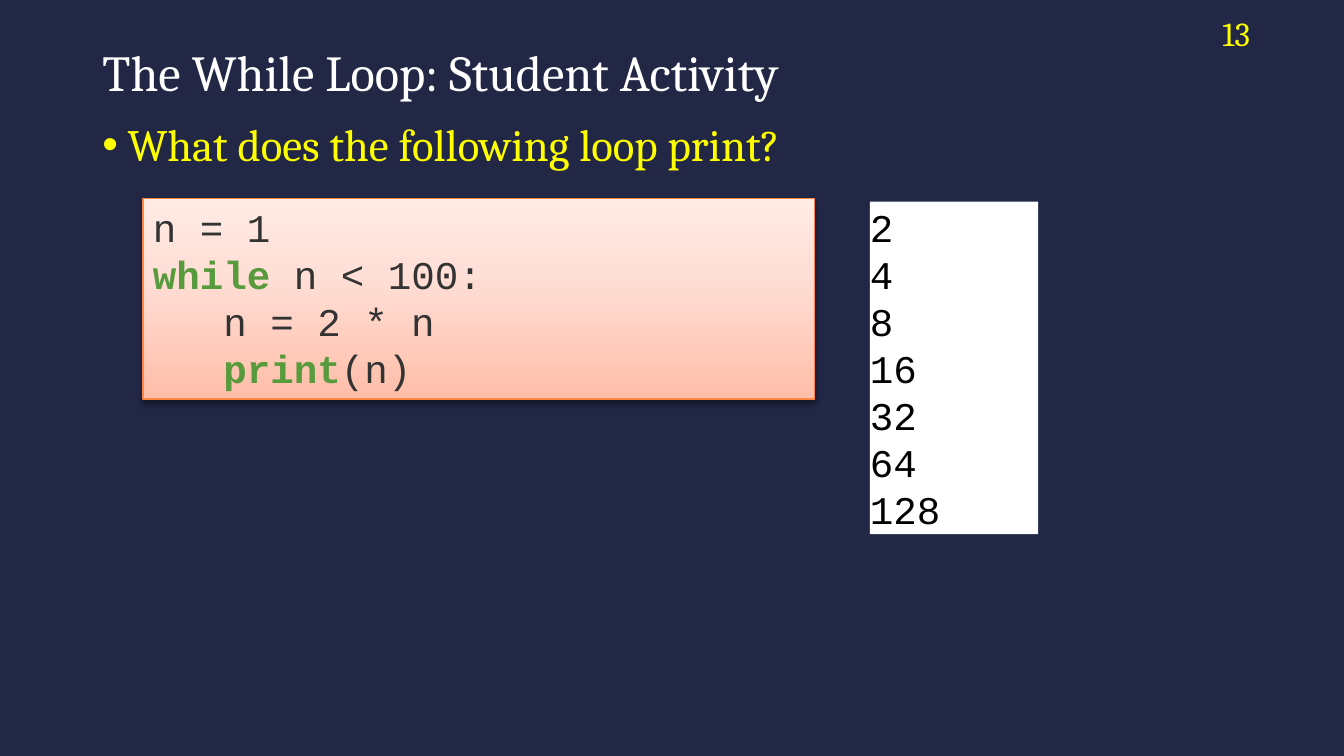
import copy

import pptx
import pptx.dml.color
import pptx.enum.shapes
import pptx.enum.text
import pptx.oxml
import pptx.oxml.ns
import pptx.util

Pt = pptx.util.Pt
ALIGN = pptx.enum.text.PP_ALIGN
ANCHOR = pptx.enum.text.MSO_ANCHOR
RECT = pptx.enum.shapes.MSO_SHAPE.RECTANGLE
NS = pptx.oxml.ns.nsdecls("a")


def rgb(color):
    return pptx.dml.color.RGBColor.from_string(color)


def write(tf, lines, font="Cambria", size=28, color="FFFFFF", align=ALIGN.LEFT,
          anchor=ANCHOR.TOP, spacing=1.0, before=0, inset=(7.2, 3.6)):
    """Each line is a list of (text, keyword colour or None) runs."""
    tf.word_wrap = True
    tf.auto_size = pptx.enum.text.MSO_AUTO_SIZE.NONE
    tf.vertical_anchor = anchor
    tf.margin_left = tf.margin_right = Pt(inset[0])
    tf.margin_top = tf.margin_bottom = Pt(inset[1])
    for i, runs in enumerate(lines):
        p = tf.add_paragraph() if i else tf.paragraphs[0]
        p.alignment, p.line_spacing, p.space_before = align, spacing, Pt(before)
        for text, keyword in runs:
            r = p.add_run()
            r.text = text
            r.font.name, r.font.size, r.font.bold = font, Pt(size), bool(keyword)
            r.font.color.rgb = rgb(keyword or color)


prs = pptx.Presentation()
prs.slide_width, prs.slide_height = Pt(960), Pt(540)
s = prs.slides.add_slide(prs.slide_layouts[5])
s.background.fill.solid()
s.background.fill.fore_color.rgb = rgb("212745")

# Title
title = s.shapes.title
title.left, title.top, title.width, title.height = Pt(66), Pt(29), Pt(834.5), Pt(49)
write(title.text_frame, [[("The While Loop: Student Activity", None)]],
      size=36, anchor=ANCHOR.MIDDLE, spacing=0.9)

# Question with bullet
question = s.shapes.add_textbox(Pt(66), Pt(84.2), Pt(834.5), Pt(401.8))
write(question.text_frame, [[("What does the following loop print?", None)]],
      size=32, color="FFFF00", spacing=0.9, before=10)
pPr = question.text_frame.paragraphs[0]._p.get_or_add_pPr()
pPr.set("marL", str(Pt(18)))
pPr.set("indent", str(-Pt(18)))
pPr.append(pptx.oxml.parse_xml(f'<a:buFont {NS} typeface="Arial"/>'))
pPr.append(pptx.oxml.parse_xml(f'<a:buChar {NS} char="•"/>'))

# Slide number
number = s.shapes.add_textbox(Pt(844.5), Pt(9.4), Pt(55.5), Pt(28.8))
write(number.text_frame, [[("13", None)]], size=24, color="FFFF00",
      align=ALIGN.RIGHT, anchor=ANCHOR.MIDDLE)

# Code panel with gradient and shadow
code = s.shapes.add_shape(RECT, Pt(102.2), Pt(141.8), Pt(479.5), Pt(143.3))
code.line.color.rgb = rgb("FF8643")
code.line.width = Pt(1)
code.fill.gradient()
code.fill.gradient_angle = 90
gsLst = code._element.spPr.find(".//" + pptx.oxml.ns.qn("a:gsLst"))
gsLst.append(copy.deepcopy(gsLst[0]))
stops = [(0, "FFBEA9"), (0.65, "FFE0D8"), (1, "FFEAE4")]
for stop, (position, color) in zip(code.fill.gradient_stops, stops):
    stop.position = position
    stop.color.rgb = rgb(color)
code._element.spPr.append(pptx.oxml.parse_xml(
    f'<a:effectLst {NS}><a:outerShdw blurRad="{Pt(4)}" dist="{Pt(3)}" '
    'dir="5400000" rotWithShape="0"><a:srgbClr val="000000">'
    '<a:alpha val="35000"/></a:srgbClr></a:outerShdw></a:effectLst>'))
GREEN = "579B3D"
write(code.text_frame, [
    [("n = 1", None)],
    [("while", GREEN), (" n < 100:", None)],
    [("   n = 2 * n", None)],
    [("   ", None), ("print", GREEN), ("(n)", None)],
], font="Courier New", color="333333")

# Printed output: powers of two
output = s.shapes.add_shape(RECT, Pt(621.4), Pt(144), Pt(120.2), Pt(237.6))
output.shadow.inherit = False
output.fill.solid()
output.fill.fore_color.rgb = rgb("FFFFFF")
output.line.fill.background()
write(output.text_frame, [[(str(2 ** k), None)] for k in range(1, 8)],
      font="Courier New", color="000000", anchor=ANCHOR.MIDDLE, inset=(0, 0))

prs.save("out.pptx")
